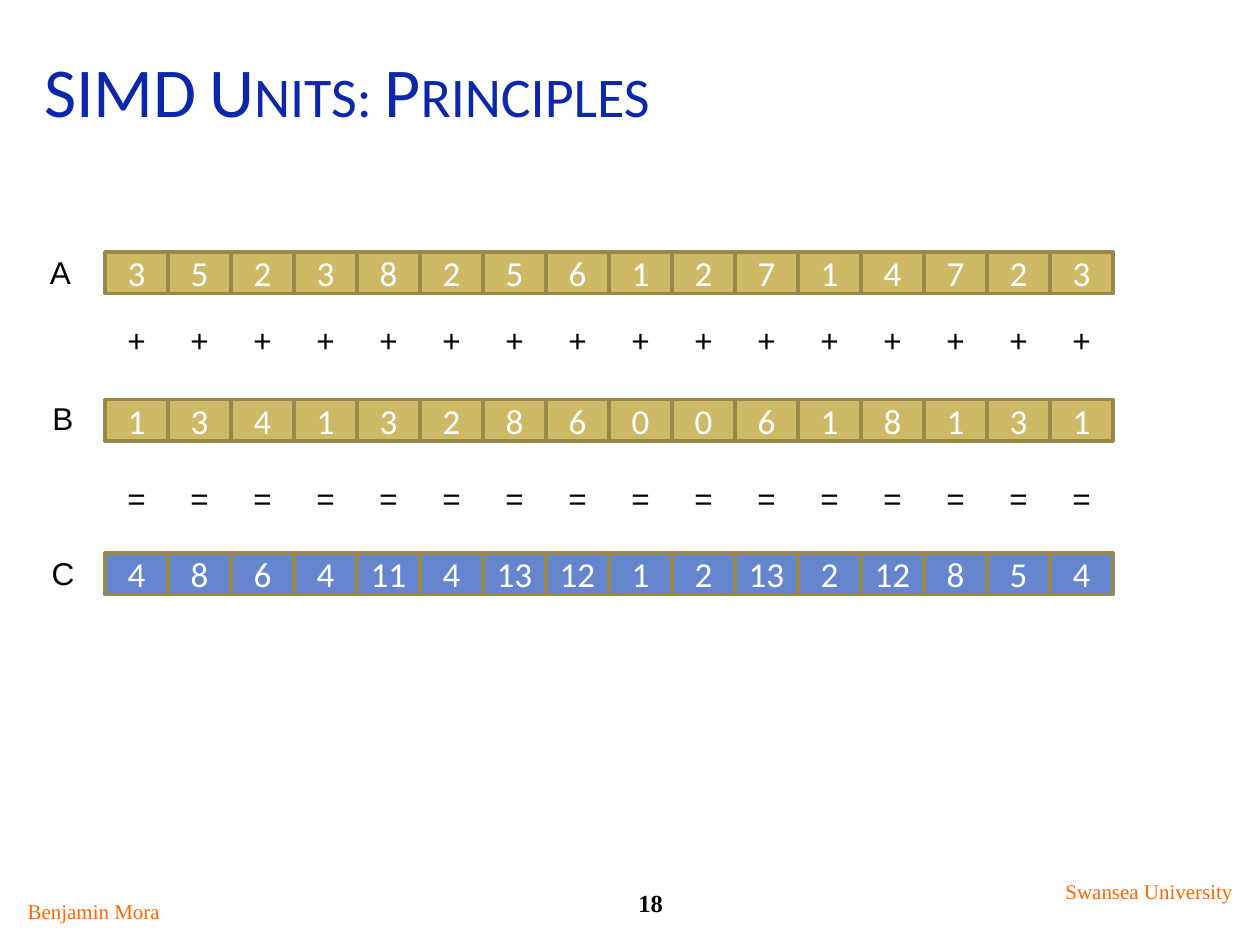
from pptx import Presentation
from pptx.dml.color import RGBColor
from pptx.enum.shapes import MSO_SHAPE as Shape
from pptx.enum.text import MSO_ANCHOR as Anchor, MSO_AUTO_SIZE as Fit, PP_ALIGN as Align
from pptx.util import Inches, Pt

W, H = 10, 7.5
COL = W / 20        # width of one vector lane
LEFT = W / 12       # left edge of the lanes
CELL_H = 0.33
TEXT_H = 0.42

A = [3, 5, 2, 3, 8, 2, 5, 6, 1, 2, 7, 1, 4, 7, 2, 3]
B = [1, 3, 4, 1, 3, 2, 8, 6, 0, 0, 6, 1, 8, 1, 3, 1]
C = [a + b for a, b in zip(A, B)]

GOLD, GOLD_DARK, BLUE = "CEB966", "98894B", "6585CF"
NAVY, ORANGE, BLACK, WHITE = "0C27AC", "FF6600", "000000", "FFFFFF"


def rgb(value):
    return RGBColor.from_string(value)


def inches(box):
    return [Inches(v) for v in box]


def write(sp, text, font, size, color, align=Align.CENTER, anchor=Anchor.TOP, bold=False):
    """Put one formatted run into a shape and return the run."""
    tf = sp.text_frame
    tf.word_wrap = True
    tf.vertical_anchor = anchor
    p = tf.paragraphs[0]
    p.alignment = align
    r = p.add_run()
    r.text = text
    r.font.name, r.font.size, r.font.bold = font, Pt(size), bold
    r.font.color.rgb = rgb(color)
    return r


def add_label(s, box, text, font="Arial", size=18, color=BLACK, bold=False):
    sp = s.shapes.add_textbox(*inches(box))
    write(sp, text, font, size, color, bold=bold)
    sp.text_frame.auto_size = Fit.SHAPE_TO_FIT_TEXT


def add_title(s, box, text):
    sp = s.shapes.title
    sp.left, sp.top, sp.width, sp.height = inches(box)
    r = write(sp, text, "Calibri", 40, NAVY, Align.LEFT, Anchor.BOTTOM)
    r._r.get_or_add_rPr().set("cap", "small")
    sp.text_frame.auto_size = Fit.NONE


def add_footer(s):
    serif = "Times New Roman"
    add_label(s, (4.5, 7, 1.33, 0.33), "18", serif, 14, bold=True)
    add_label(s, (0.08, 7.08, 1.33, 0.3), "Benjamin Mora", serif, 12, ORANGE)
    add_label(s, (8.33, 6.92, 1.58, 0.3), "Swansea University", serif, 12, ORANGE)


def add_vector(s, left, top, values, fill):
    """A row of touching cells, one per lane."""
    for i, value in enumerate(values):
        box = (left + i * COL, top, COL, CELL_H)
        sp = s.shapes.add_shape(Shape.RECTANGLE, *inches(box))
        sp.shadow.inherit = False
        sp.fill.solid()
        sp.fill.fore_color.rgb = rgb(fill)
        sp.line.color.rgb = rgb(GOLD_DARK)
        sp.line.width = Pt(2)
        write(sp, str(value), "Calibri", 20, WHITE, anchor=Anchor.MIDDLE)


def add_operators(s, left, top, sign):
    """The same sign under every lane."""
    for i in range(len(A)):
        add_label(s, (left + i * COL, top, COL, TEXT_H), sign)


def main():
    prs = Presentation()
    prs.slide_width, prs.slide_height = Inches(W), Inches(H)
    s = prs.slides.add_slide(prs.slide_layouts[5])
    s.background.fill.solid()
    s.background.fill.fore_color.rgb = rgb(WHITE)

    add_title(s, (0.25, 0.17, 9.5, 0.92), "SIMD Units: Principles")
    add_footer(s)

    # Vectors A, B and their sum C
    for top, values, fill in ((2, A, GOLD), (3.17, B, GOLD), (4.39, C, BLUE)):
        add_vector(s, LEFT, top, values, fill)

    # Row names
    for x, y, name in ((0.23, 1.96, "A"), (0.25, 3.12, "B"), (0.25, 4.35, "C")):
        add_label(s, (x, y, COL, TEXT_H), name)

    # Lane operators
    for top, sign in ((2.5, "+"), (3.75, "=")):
        add_operators(s, LEFT, top, sign)

    prs.save("out.pptx")


if __name__ == "__main__":
    main()
